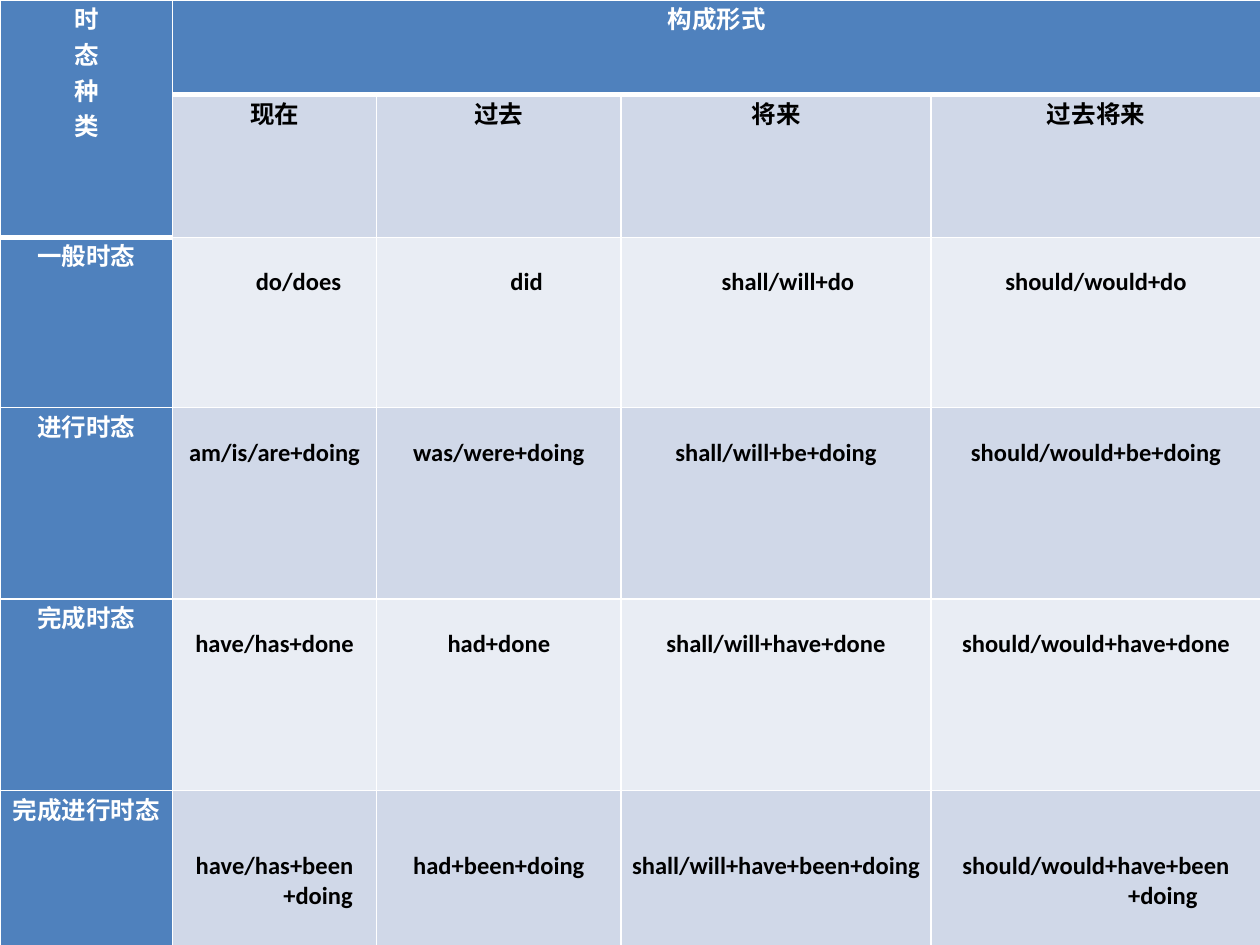
from dataclasses import dataclass

from lxml import etree
from pptx import Presentation
from pptx.dml.color import RGBColor
from pptx.enum.text import PP_ALIGN
from pptx.oxml.ns import qn
from pptx.util import Inches, Pt

CENTER = PP_ALIGN.CENTER
BLANK_LAYOUT = 6


@dataclass(frozen=True)
class Theme:
    font: str = "Calibri"
    size: float = 14
    header_fill: str = "4F81BD"
    header_text: str = "FFFFFF"
    body_text: str = "000000"
    bands: tuple = ("D0D8E8", "E9EDF4")
    rule: str = "FFFFFF"
    thin: float = 1
    thick: float = 3
    side_margin: float = 0.07
    line_height: float = 0.24


COLUMN_WIDTHS = [1.37, 1.62, 1.94, 2.46, 2.62]
ROW_HEIGHTS = [0.75, 0.79, 1.35, 1.52, 1.52, 1.57]

TENSES = [
    ["时\n态\n种\n类", "构成形式", "", "", ""],
    ["", "现在", "过去", "将来", "过去将来"],
    ["一般时态", "do/does", "did", "shall/will+do", "should/would+do"],
    ["进行时态", "am/is/are+doing", "was/were+doing",
     "shall/will+be+doing", "should/would+be+doing"],
    ["完成时态", "have/has+done", "had+done",
     "shall/will+have+done", "should/would+have+done"],
    ["完成进行时态", "have/has+been\n+doing", "had+been+doing",
     "shall/will+have+been+doing", "should/would+have+been\n+doing"],
]
MERGES = [((0, 0), (1, 0)), ((0, 1), (0, 4))]

# Lines left free above the verb forms, by row
LINES_ABOVE = [0, 0, 1, 1, 1, 2]

# First-line indent of the last paragraph, by (row, column)
INDENTS = {(2, 1): 0.38, (2, 2): 0.44, (2, 3): 0.19,
           (5, 1): 0.69, (5, 4): 1.06}


class SlideBuilder:
    def __init__(self, slide, theme):
        self.slide = slide
        self.theme = theme

    def table(self, rows, widths, heights, merges):
        frame = self.slide.shapes.add_table(
            len(rows), len(widths), 0, 0,
            Inches(sum(widths)), Inches(sum(heights)))
        grid = frame.table
        for column, width in zip(grid.columns, widths):
            column.width = Inches(width)
        for row, height in zip(grid.rows, heights):
            row.height = Inches(height)
        for first, last in merges:
            grid.cell(*first).merge(grid.cell(*last))
        for r, texts in enumerate(rows):
            for c, text in enumerate(texts):
                self.cell(grid.cell(r, c), r, c, text)

    def cell(self, cell, r, c, text):
        theme = self.theme
        is_header = r == 0 or c == 0
        self.borders(cell, r, c)
        cell.fill.solid()
        cell.fill.fore_color.rgb = RGBColor.from_string(
            theme.header_fill if is_header else theme.bands[(r + 1) % 2])
        cell.margin_left = cell.margin_right = Inches(theme.side_margin)
        lines_above = 0 if is_header else LINES_ABOVE[r]
        cell.margin_top = Inches(lines_above * theme.line_height)
        cell.margin_bottom = 0
        if not text:
            return
        cell.text_frame.text = text
        for paragraph in cell.text_frame.paragraphs:
            paragraph.alignment = CENTER
            font = paragraph.font
            font.name, font.size, font.bold = theme.font, Pt(theme.size), True
            font.color.rgb = RGBColor.from_string(
                theme.header_text if is_header else theme.body_text)
        if (r, c) in INDENTS:
            properties = paragraph._p.get_or_add_pPr()
            properties.set("indent", str(Inches(INDENTS[r, c])))

    def borders(self, cell, r, c):
        """Thin rules all round, thick ones under the header cells."""
        theme = self.theme
        header_end = 1 if c == 0 else 0
        widths = {
            "L": theme.thin,
            "R": theme.thin,
            "T": theme.thick if r == header_end + 1 else theme.thin,
            "B": theme.thick if r <= header_end else theme.thin,
        }
        properties = cell._tc.get_or_add_tcPr()
        for side, width in widths.items():
            line = etree.SubElement(properties, qn(f"a:ln{side}"),
                                    w=str(Pt(width)))
            fill = etree.SubElement(line, qn("a:solidFill"))
            etree.SubElement(fill, qn("a:srgbClr"), val=theme.rule)


def main():
    deck = Presentation()
    deck.slide_width, deck.slide_height = Inches(10), Inches(7.5)
    slide = deck.slides.add_slide(deck.slide_layouts[BLANK_LAYOUT])
    SlideBuilder(slide, Theme()).table(
        TENSES, COLUMN_WIDTHS, ROW_HEIGHTS, MERGES)
    deck.save("out.pptx")


if __name__ == "__main__":
    main()
